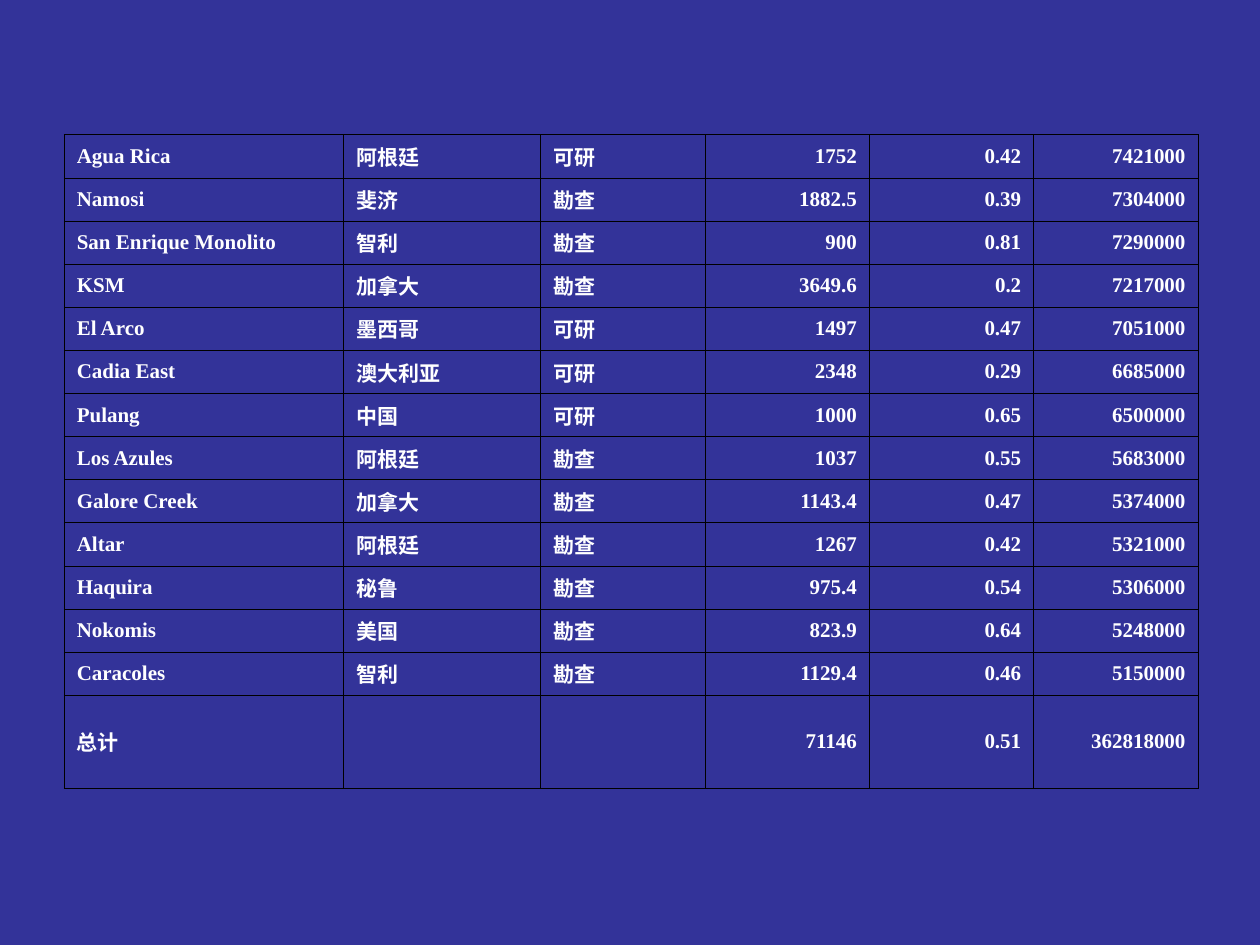
from lxml.etree import SubElement as Sub
from pptx import Presentation
from pptx.dml.color import RGBColor as Rgb
from pptx.enum.text import MSO_ANCHOR as Anchor, PP_ALIGN as Align
from pptx.oxml.ns import qn
from pptx.util import Inches, Pt

COLS = [17, 12, 10, 10, 10, 10]
LINES = [16] * 13 + [37]
MINES = [
    ("Agua Rica", "阿根廷", "可研", "1752", "0.42", "7421000"),
    ("Namosi", "斐济", "勘查", "1882.5", "0.39", "7304000"),
    ("San Enrique Monolito", "智利", "勘查", "900", "0.81", "7290000"),
    ("KSM", "加拿大", "勘查", "3649.6", "0.2", "7217000"),
    ("El Arco", "墨西哥", "可研", "1497", "0.47", "7051000"),
    ("Cadia East", "澳大利亚", "可研", "2348", "0.29", "6685000"),
    ("Pulang", "中国", "可研", "1000", "0.65", "6500000"),
    ("Los Azules", "阿根廷", "勘查", "1037", "0.55", "5683000"),
    ("Galore Creek", "加拿大", "勘查", "1143.4", "0.47", "5374000"),
    ("Altar", "阿根廷", "勘查", "1267", "0.42", "5321000"),
    ("Haquira", "秘鲁", "勘查", "975.4", "0.54", "5306000"),
    ("Nokomis", "美国", "勘查", "823.9", "0.64", "5248000"),
    ("Caracoles", "智利", "勘查", "1129.4", "0.46", "5150000"),
    ("总计", "", "", "71146", "0.51", "362818000"),
]


def paint(fill, code):
    """Fill with one solid colour given as a hex string."""
    fill.solid()
    fill.fore_color.rgb = Rgb.from_string(code)


def frame(cell, code, width):
    """Draw a thin line on all four sides of a cell."""
    props = cell._tc.get_or_add_tcPr()
    for side in ("lnL", "lnR", "lnT", "lnB"):
        line = Sub(props, qn(f"a:{side}"), w=str(Pt(width)))
        Sub(Sub(line, qn("a:solidFill")), qn("a:srgbClr"), val=code)


def write(cell, text, align):
    """Put bold white text in a cell."""
    cell.vertical_anchor = Anchor.MIDDLE
    cell.text = text
    para = cell.text_frame.paragraphs[0]
    para.alignment = align
    font = para.font
    font.name, font.size, font.bold = "Times New Roman", Pt(12), True
    paint(font.fill, "FFFFFF")


def mine_table(slide, left, top, width, height):
    """Place the table of mines in the given box."""
    table = slide.shapes.add_table(
        len(MINES), len(COLS), left, top, width, height).table
    table.first_row = table.horz_banding = False
    for col, share in zip(table.columns, COLS):
        col.width = int(width * share / sum(COLS))
    for row, share, mine in zip(table.rows, LINES, MINES):
        row.height = int(height * share / sum(LINES))
        for i, (cell, text) in enumerate(zip(row.cells, mine)):
            frame(cell, "000000", 0.45)
            cell.fill.background()
            if text:
                write(cell, text, Align.RIGHT if i > 2 else Align.LEFT)


def main():
    """Build the slide and save it."""
    deck = Presentation()
    wide, high = Inches(10), Inches(7.5)
    deck.slide_width, deck.slide_height = wide, high
    slide = deck.slides.add_slide(deck.slide_layouts[6])
    paint(slide.background.fill, "333399")
    mine_table(slide, int(wide * 0.05) + Inches(0.01), Inches(1.07),
               int(wide * 0.9), Inches(4.9))
    deck.save("out.pptx")


if __name__ == "__main__":
    main()
